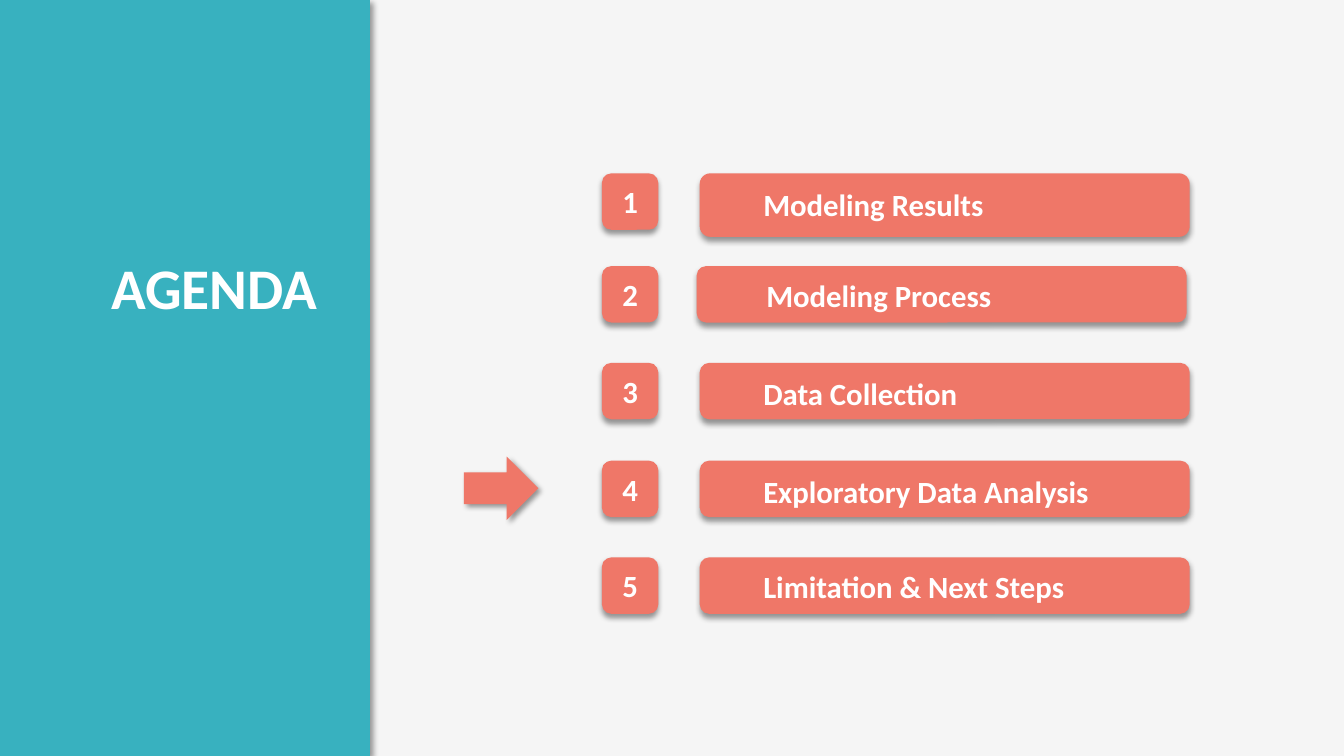
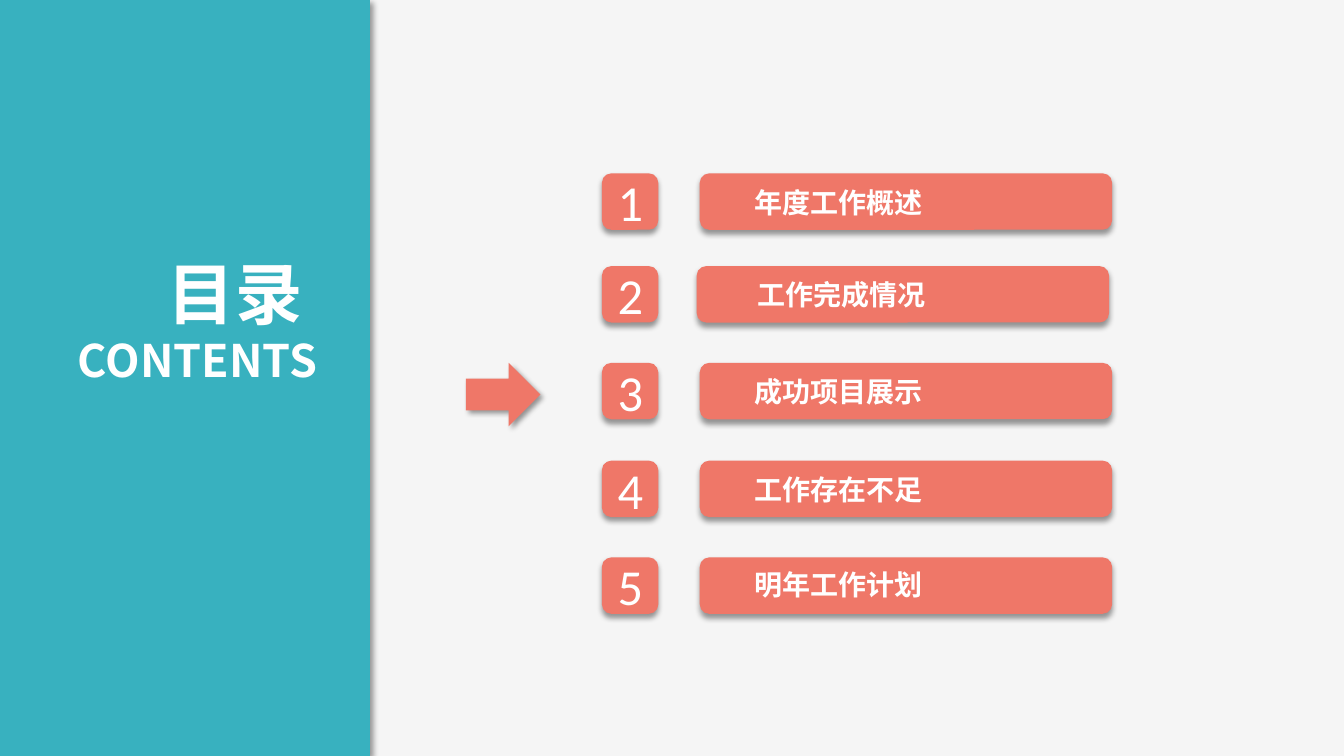
from lxml import etree
from pptx import Presentation
from pptx.dml.color import RGBColor
from pptx.enum import shapes, text
from pptx.oxml import ns
from pptx.util import Inches, Pt

TEAL = RGBColor(0x38, 0xB1, 0xBF)
CORAL = RGBColor(0xEF, 0x77, 0x68)
WHITE = RGBColor(0xFF, 0xFF, 0xFF)
PALE = RGBColor(0xF5, 0xF5, 0xF5)
LATIN, CJK = "Calibri", "Noto Sans CJK SC"
SHAPE = shapes.MSO_SHAPE
ALIGN, ANCHOR = text.PP_ALIGN, text.MSO_ANCHOR

# Agenda rows: top, bar shift, label shift, label drop
ROWS = [(1.72, 0, 0, 0.05), (2.64, -0.03, 0.03, 0.04), (3.6, 0, 0, 0.05),
        (4.57, 0, 0, 0.05), (5.53, 0, 0, 0.03)]
BOX = 0.56


class Deck:
    """Holds the style and the current slide."""

    def __init__(self):
        self.prs = Presentation()
        self.prs.slide_width, self.prs.slide_height = Inches(13.33), Inches(7.5)
        fill = self.prs.slide_master.background.fill
        fill.solid()
        fill.fore_color.rgb = PALE

    def new_slide(self):
        self.s = self.prs.slides.add_slide(self.prs.slide_layouts[5])

    def shape(self, kind, at, color=CORAL, angle=90, parent=None):
        sp = (parent or self.s).shapes.add_shape(kind, *map(Inches, at))
        sp.fill.solid()
        sp.fill.fore_color.rgb = color
        sp.line.fill.background()
        sp.shadow.inherit = False
        effects = sp._element.spPr.find(ns.qn("a:effectLst"))
        shadow = etree.SubElement(
            effects, ns.qn("a:outerShdw"), blurRad=str(Pt(4)), dist=str(Pt(3)),
            dir=str(angle * 60000), algn="ctr", rotWithShape="0")
        black = etree.SubElement(shadow, ns.qn("a:srgbClr"), val="000000")
        etree.SubElement(black, ns.qn("a:alpha"), val="40000")
        return sp

    def put_text(self, sp, lines, align=ALIGN.LEFT, anchor=ANCHOR.TOP):
        """Fill a shape with lines of (text, size, font, bold)."""
        tf = sp.text_frame
        frame = dict(margin_left=Inches(0.13), margin_right=Inches(0.13),
                     margin_top=Inches(0.07), margin_bottom=Inches(0.07),
                     word_wrap=True, auto_size=text.MSO_AUTO_SIZE.NONE,
                     vertical_anchor=anchor)
        for name, value in frame.items():
            setattr(tf, name, value)
        for i, (words, size, font, bold) in enumerate(lines):
            p = tf.add_paragraph() if i else tf.paragraphs[0]
            p.alignment = align
            r = p.add_run()
            r.text = words
            style = dict(size=Pt(size), name=font, bold=bold)
            for name, value in style.items():
                setattr(r.font, name, value)
            r.font.color.rgb = WHITE
            latin = r.font._element.find(ns.qn("a:latin"))
            east = etree.Element(ns.qn("a:ea"), typeface=font)
            latin.addnext(east)

    def title_band(self, lines, height):
        band = self.shape(SHAPE.RECTANGLE, (0, 0, 3.67, 7.5), TEAL, 45)
        title = self.s.shapes.title
        title._element.addprevious(band._element)  # band goes behind the title
        place = dict(left=0.21, top=2.43, width=3.07, height=height)
        for name, value in place.items():
            setattr(title, name, Inches(value))
        self.put_text(title, lines, ALIGN.RIGHT)

    def number(self, top, n, style):
        sp = self.shape(SHAPE.ROUNDED_RECTANGLE, (5.97, top, BOX, BOX))
        self.put_text(sp, [(str(n), *style)], ALIGN.CENTER, ANCHOR.MIDDLE)

    def bar(self, at, label_at, label, style):
        group = self.s.shapes.add_group_shape()
        self.shape(SHAPE.ROUNDED_RECTANGLE, at, parent=group)
        tb = group.shapes.add_textbox(*map(Inches, label_at))
        self.put_text(tb, [(label, *style)])

    def arrow(self, left, top):
        self.shape(SHAPE.RIGHT_ARROW, (left, top, 0.74, 0.63), angle=45)

    def agenda(self, title, title_height, items, bar_width, label_left, label_width,
               number_style, label_style, arrow, first_height=BOX):
        self.new_slide()
        self.title_band(title, title_height)
        for n, (label, row) in enumerate(zip(items, ROWS), 1):
            top, bar_shift, label_shift, drop = row
            height = first_height if n == 1 else BOX
            self.number(top, n, number_style)
            self.bar((6.94 + bar_shift, top, bar_width, height),
                     (label_left + label_shift, top + drop, label_width, 0.47),
                     label, label_style)
        self.arrow(*arrow)


def main():
    deck = Deck()

    # English agenda
    deck.agenda(
        [("AGENDA", 41, LATIN, True)], 0.82,
        ["Modeling Results", "Modeling Process", "Data Collection",
         "Exploratory Data Analysis", "Limitation & Next Steps"],
        bar_width=4.86, label_left=7.44, label_width=4.25,
        number_style=(22, LATIN, True), label_style=(22, LATIN, True),
        arrow=(4.6, 4.53), first_height=0.63)

    # Chinese contents
    deck.agenda(
        [("目录 ", 48, CJK, True), ("CONTENTS", 32, CJK, True)], 1.48,
        ["年度工作概述", "工作完成情况", "成功项目展示", "工作存在不足", "明年工作计划"],
        bar_width=4.09, label_left=7.35, label_width=2.99,
        number_style=(36, LATIN, False), label_style=(20, CJK, True),
        arrow=(4.62, 3.6))

    deck.prs.save("out.pptx")


if __name__ == "__main__":
    main()
